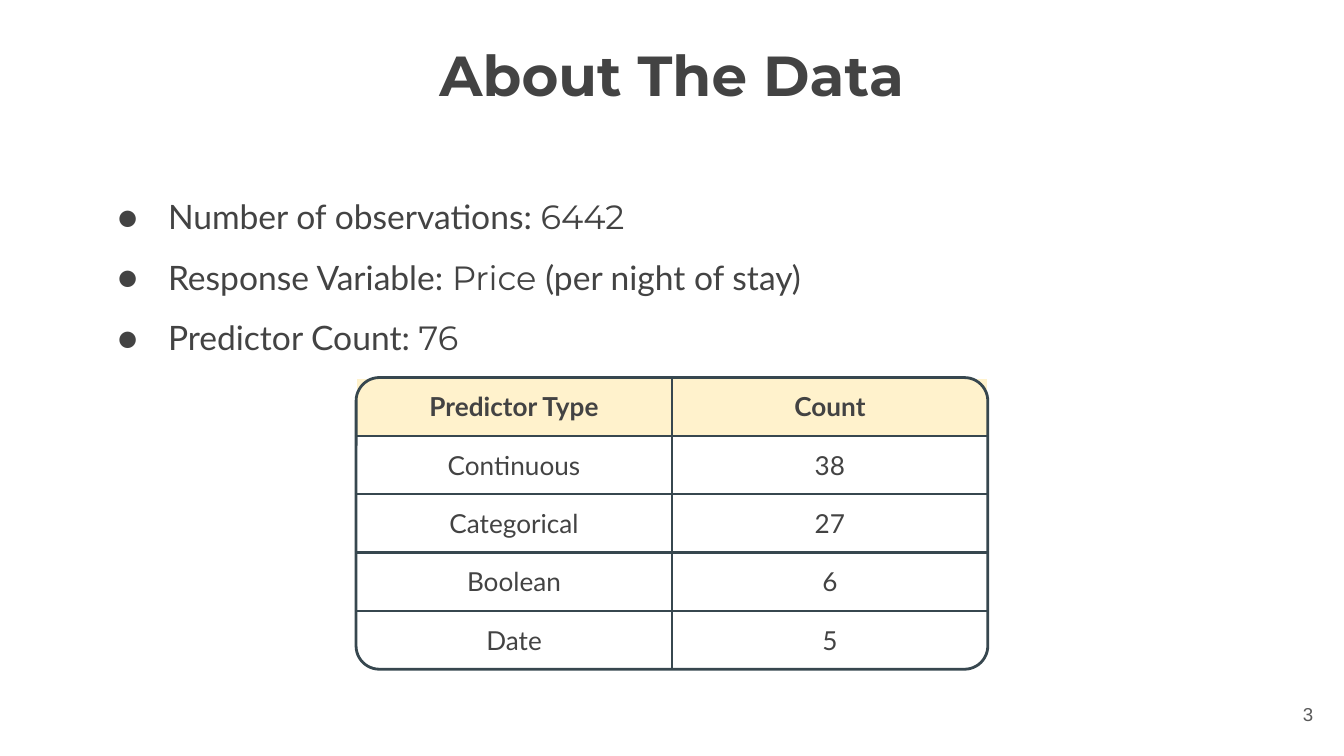
from lxml.etree import SubElement
from pptx import Presentation
from pptx.dml.color import RGBColor
from pptx.enum.shapes import MSO_SHAPE as Shape
from pptx.enum.text import MSO_ANCHOR as Anchor, MSO_AUTO_SIZE as AutoSize, PP_ALIGN as Align
from pptx.oxml import parse_xml
from pptx.oxml.ns import nsdecls, qn
from pptx.util import Pt

COLORS = {"text": "434343", "number": "595959", "border": "37474F",
          "header": "FFF2CC", "outer": "FFFFFF"}
TITLE = "About The Data"
PAGE_NUMBER = "3"
FACTS = [
    [("Number of observations: ", "Lato"), ("6442", "Montserrat")],
    [("Response Variable: ", "Lato"), ("Price ", "Montserrat"), ("(per night of stay)", "Lato")],
    [("Predictor Count: ", "Lato"), ("76", "Montserrat")],
]
PREDICTORS = [
    ("Predictor Type", "Count"),
    ("Continuous", "38"),
    ("Categorical", "27"),
    ("Boolean", "6"),
    ("Date", "5"),
]
SLIDE_WIDTH, SLIDE_HEIGHT = 720, 405
COLUMN_WIDTH, ROW_HEIGHT, TABLE_TOP = 169.2, 31.25, 202.3
INSET = 7.2
LINE_WIDTH = 1.5


def style_run(run, font, size, color="text", bold=False):
    run.font.name = font
    run.font.size = Pt(size)
    run.font.bold = bold
    run.font.color.rgb = RGBColor.from_string(COLORS[color])


def place(shape, left, top, width, height, anchor):
    shape.left, shape.top, shape.width, shape.height = map(Pt, (left, top, width, height))
    frame = shape.text_frame
    frame.word_wrap = True
    frame.auto_size = AutoSize.NONE
    frame.vertical_anchor = anchor
    frame.margin_left = frame.margin_right = frame.margin_top = frame.margin_bottom = Pt(INSET)
    return frame


def write_line(frame, text, align, *style):
    frame.text = text
    paragraph = frame.paragraphs[0]
    paragraph.alignment = align
    style_run(paragraph.runs[0], *style)


def add_bullet(paragraph):
    properties = paragraph._p.get_or_add_pPr()
    properties.set("marL", str(Pt(36)))
    properties.set("indent", str(Pt(-27)))
    bullet_color = SubElement(properties, qn("a:buClr"))
    SubElement(bullet_color, qn("a:srgbClr"), val=COLORS["text"])
    SubElement(properties, qn("a:buFont"), typeface="Lato")
    SubElement(properties, qn("a:buChar"), char="●")


def set_borders(cell, outer_sides):
    properties = cell._tc.get_or_add_tcPr()
    for index, side in enumerate("LRTB"):
        color = COLORS["outer" if side in outer_sides else "border"]
        properties.insert(index, parse_xml(
            f'<a:ln{side} {nsdecls("a")} w="{Pt(LINE_WIDTH)}"><a:solidFill>'
            f'<a:srgbClr val="{color}"/></a:solidFill></a:ln{side}>'))


def add_predictor_table(slide, left, width, height):
    row_count, column_count = len(PREDICTORS), len(PREDICTORS[0])
    table = slide.shapes.add_table(row_count, column_count, Pt(left), Pt(TABLE_TOP),
                                   Pt(width), Pt(height)).table
    table.first_row = table.horz_banding = False
    for row_index, values in enumerate(PREDICTORS):
        is_header = row_index == 0
        for column_index, value in enumerate(values):
            cell = table.cell(row_index, column_index)
            cell.margin_left = cell.margin_right = cell.margin_top = cell.margin_bottom = Pt(INSET)
            write_line(cell.text_frame, value, Align.CENTER, "Lato", 14, "text", is_header)
            if is_header:
                cell.fill.solid()
                cell.fill.fore_color.rgb = RGBColor.from_string(COLORS["header"])
            else:
                cell.fill.background()
            edges = {"L": column_index == 0, "R": column_index == column_count - 1,
                     "T": is_header, "B": row_index == row_count - 1}
            set_borders(cell, [side for side, on_edge in edges.items() if on_edge])


def add_table_frame(slide, left, width, height):
    frame = slide.shapes.add_shape(Shape.ROUNDED_RECTANGLE, Pt(left), Pt(TABLE_TOP),
                                   Pt(width), Pt(height))
    frame.adjustments[0] = 0.08
    frame.shadow.inherit = False
    frame.fill.background()
    frame.line.color.rgb = RGBColor.from_string(COLORS["border"])
    frame.line.width = Pt(LINE_WIDTH)


def main():
    presentation = Presentation()
    presentation.slide_width, presentation.slide_height = Pt(SLIDE_WIDTH), Pt(SLIDE_HEIGHT)
    slide = presentation.slides.add_slide(presentation.slide_layouts[1])

    title = place(slide.shapes.title, 36, 14.4, 648, 55.4, Anchor.TOP)
    write_line(title, TITLE, Align.CENTER, "Montserrat", 30.2, "text", True)

    body = place(slide.placeholders[1], 46.8, 87.1, 559.4, 115.9, Anchor.TOP)
    body.text = "\n".join("" for _ in FACTS)
    for paragraph, parts in zip(body.paragraphs, FACTS):
        paragraph.line_spacing = 1.5
        paragraph.space_before = Pt(0)
        add_bullet(paragraph)
        for text, font in parts:
            run = paragraph.add_run()
            run.text = text
            style_run(run, font, 18)

    number_box = slide.shapes.add_textbox(0, 0, 0, 0)
    number = place(number_box, 667.4, 367.2, 43.2, 31, Anchor.MIDDLE)
    write_line(number, PAGE_NUMBER, Align.RIGHT, "Arial", 10, "number")

    width = COLUMN_WIDTH * len(PREDICTORS[0])
    height = ROW_HEIGHT * len(PREDICTORS)
    left = (SLIDE_WIDTH - width) / 2
    add_predictor_table(slide, left, width, height)
    add_table_frame(slide, left, width, height)

    presentation.save("out.pptx")


if __name__ == "__main__":
    main()
